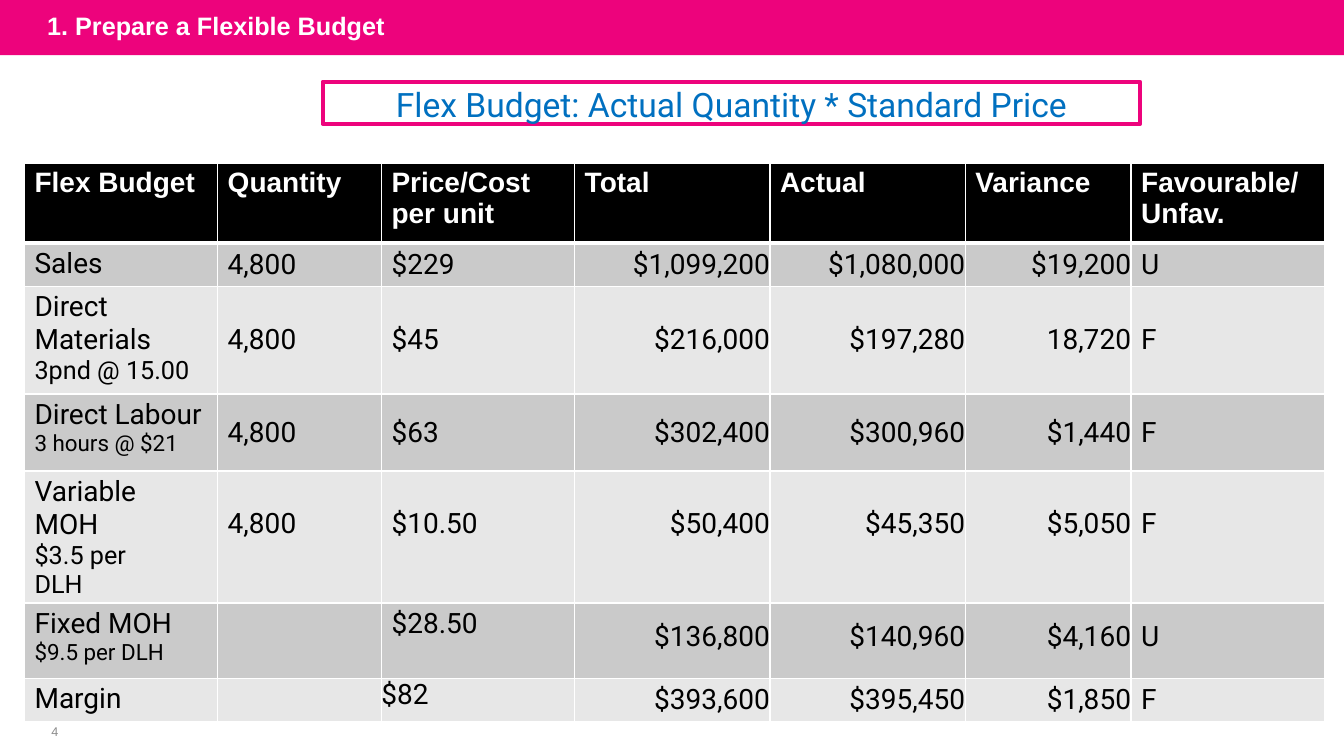
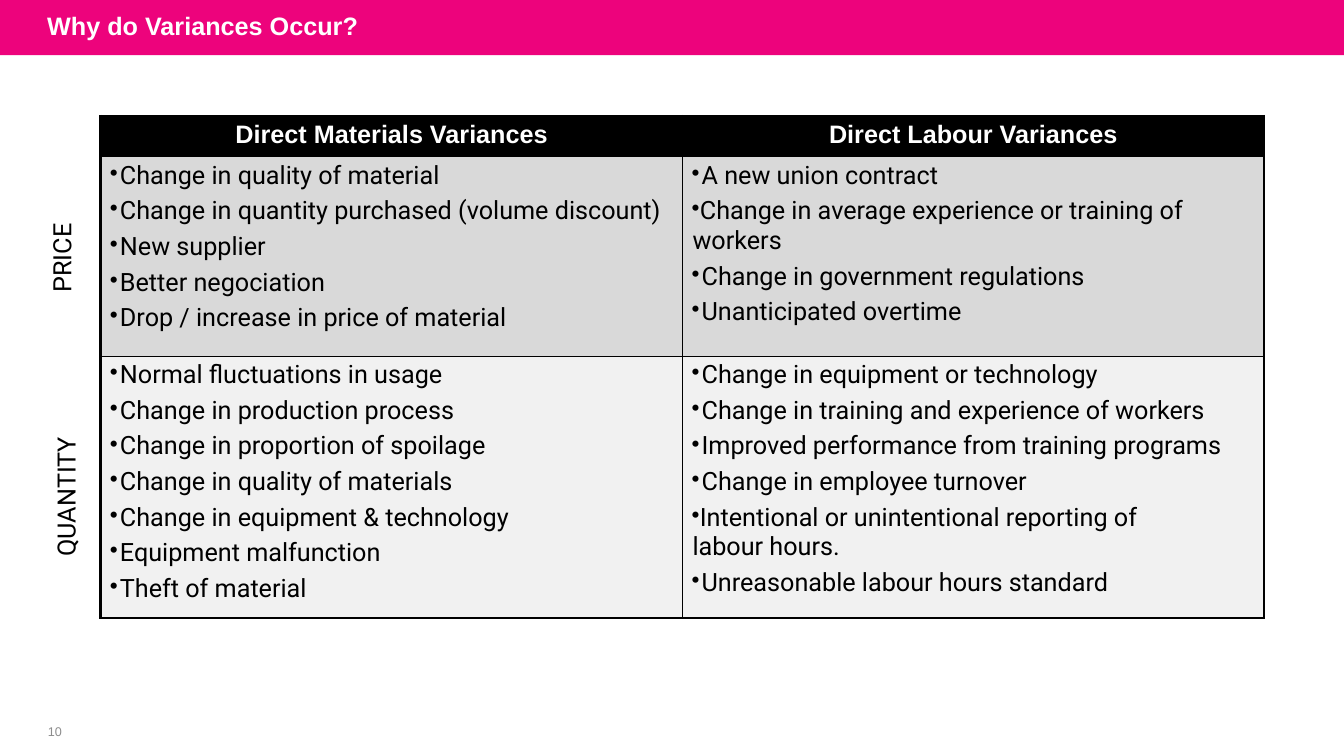
from lxml import etree
from pptx import Presentation
from pptx.dml.color import RGBColor
from pptx.enum.shapes import MSO_SHAPE
from pptx.enum.text import MSO_ANCHOR, MSO_AUTO_SIZE, PP_ALIGN
from pptx.oxml.ns import qn
from pptx.util import Pt

LEFT, CENTER, RIGHT = PP_ALIGN.LEFT, PP_ALIGN.CENTER, PP_ALIGN.RIGHT
TOP, MIDDLE, BOTTOM = MSO_ANCHOR.TOP, MSO_ANCHOR.MIDDLE, MSO_ANCHOR.BOTTOM
RECTANGLE = MSO_SHAPE.RECTANGLE
NO_FIT = MSO_AUTO_SIZE.NONE

PINK = RGBColor(0xED, 0x03, 0x7C)
BLUE = RGBColor(0x00, 0x70, 0xC0)
BLACK = RGBColor(0, 0, 0)
WHITE = RGBColor(0xFF, 0xFF, 0xFF)
FOOTER_GREY = RGBColor(0x8C, 0x8C, 0x8C)
BUDGET_FILLS = RGBColor(0xCA, 0xCA, 0xCA), RGBColor(0xE7, 0xE7, 0xE7)
CAUSE_FILLS = RGBColor(0xD9, 0xD9, 0xD9), RGBColor(0xF1, 0xF1, 0xF1)
HEADING_FONT, BODY_FONT = "Arial", "Roboto"
HEADING = {"font": HEADING_FONT, "bold": True, "color": WHITE}
INDENT, CELL_TOP = 7.2, 3

FORMULA = "Flex Budget: Actual Quantity * Standard Price"
BUDGET_HEADS = ["Flex Budget", "Quantity", "Price/Cost per unit", "Total",
                "Actual", "Variance", "Favourable/ Unfav."]
BUDGET_ROWS = [
    {"label": "Sales", "height": 31,
     "values": ["4,800", "$229", "$1,099,200", "$1,080,000", "$19,200", "U"]},
    {"label": "Direct Materials", "detail": "3pnd @ 15.00", "detail_size": 18, "height": 77,
     "values": ["4,800", "$45", "$216,000", "$197,280", "18,720", "F"]},
    {"label": "Direct Labour", "detail": "3 hours @ $21", "detail_size": 16, "height": 55,
     "values": ["4,800", "$63", "$302,400", "$300,960", "$1,440", "F"]},
    {"label": "Variable MOH", "detail": "$3.5 per DLH", "detail_size": 18, "height": 93,
     "label_right": 36, "lift": 18,
     "values": ["4,800", "$10.50", "$50,400", "$45,350", "$5,050", "F"]},
    {"label": "Fixed MOH", "detail": "$9.5 per DLH", "detail_size": 16, "height": 54,
     "lift": 6,
     "values": ["", "$28.50", "$136,800", "$140,960", "$4,160", "U"]},
    {"label": "Margin", "height": 31,
     "values": ["", "$82", "$393,600", "$395,450", "$1,850", "F"]},
]
BUDGET_WIDTHS = [138, 117, 138, 139.5, 139.5, 118.5, 138]
AMOUNT_COLUMNS = 3, 4, 5
TOP_CELLS = {"$28.50": {"left": INDENT, "top": CELL_TOP}, "$82": {"left": 0, "top": 0}}

CAUSE_HEADS = ["Direct Materials Variances", "Direct Labour Variances"]
CAUSES = [
    [["Change in quality of material",
      "Change in quantity purchased (volume discount)",
      "New supplier",
      "Better negociation",
      "Drop / increase in price of material"],
     ["A new union contract",
      "Change in average experience or training of\nworkers",
      "Change in government regulations",
      "Unanticipated overtime"]],
    [["Normal fluctuations in usage",
      "Change in production process",
      "Change in proportion of spoilage",
      "Change in quality of materials",
      "Change in equipment & technology",
      "Equipment malfunction",
      "Theft of material"],
     ["Change in equipment or technology",
      "Change in training and experience of workers",
      "Improved performance from training programs",
      "Change in employee turnover",
      "Intentional or unintentional reporting of\nlabour hours.",
      "Unreasonable labour hours standard"]],
]
CAUSE_HEIGHTS = [29, 142.5, 187]
SIDE_LABELS = [("PRICE", 33, 152, 57), ("QUANTITY", 36, 304, 93.5)]


def write(frame, text, size=18, font=BODY_FONT, color=BLACK, bold=False,
          align=LEFT, before=0, bullet=False):
    para = frame.add_paragraph() if frame.text else frame.paragraphs[0]
    para.alignment = align
    para.space_before = Pt(before)
    para.font.size = Pt(size)
    for number, line in enumerate(text.split("\n")):
        if number:
            para.add_line_break()
        span = para.add_run()
        span.text = line
        span.font.size, span.font.name = Pt(size), font
        span.font.bold, span.font.color.rgb = bold, color
    if bullet:
        wrapped = "\n" in text
        props = para._p.get_or_add_pPr()
        props.set("marL", str(Pt(7.2 if wrapped else 13.7)))
        props.set("indent", str(Pt(-0.7 if wrapped else -7.2)))
        etree.SubElement(props, qn("a:buSzPct")).set("val", "94000")
        etree.SubElement(props, qn("a:buChar")).set("char", "•")
    return para


def set_margins(target, left=0, top=0, right=0, bottom=0):
    target.margin_left, target.margin_top = Pt(left), Pt(top)
    target.margin_right, target.margin_bottom = Pt(right), Pt(bottom)


def add_text(page, text, left, top, width, height, anchor=TOP, **style):
    box = page.shapes.add_textbox(Pt(left), Pt(top), Pt(width), Pt(height))
    frame = box.text_frame
    frame.word_wrap = True
    frame.vertical_anchor = anchor
    set_margins(frame)
    write(frame, text, **style)
    return frame


def add_rectangle(page, left, top, width, height):
    box = page.shapes.add_shape(RECTANGLE, Pt(left), Pt(top), Pt(width), Pt(height))
    box.shadow.inherit = False
    return box


def add_page(deck, layout, title, number):
    page = deck.slides.add_slide(layout)
    heading = page.shapes.title
    heading.left, heading.top, heading.width, heading.height = Pt(26.5), Pt(-2), Pt(756), Pt(40)
    frame = heading.text_frame
    frame.auto_size = NO_FIT
    frame.vertical_anchor = MIDDLE
    write(frame, title, **HEADING)
    add_text(page, number, 20.5, 514, 37.5, 17, anchor=MIDDLE, size=9,
             font=HEADING_FONT, color=FOOTER_GREY, align=CENTER)
    return page


def add_band(page, layout):
    band = add_rectangle(page, 0, 0, 960, 39.5)
    band.fill.solid()
    band.fill.fore_color.rgb = PINK
    band.line.fill.background()
    layout.shapes._spTree.insert(2, band._element)


def add_grid(page, left, top, widths, heights, fills, color, edges):
    grid = page.shapes.add_table(len(heights), len(widths), Pt(left), Pt(top),
                                 Pt(sum(widths)), Pt(sum(heights))).table
    for column, width in zip(grid.columns, widths):
        column.width = Pt(width)
    for row, height in zip(grid.rows, heights):
        row.height = Pt(height)
    for row in range(len(heights)):
        for column in range(len(widths)):
            cell = grid.cell(row, column)
            set_margins(cell, top=CELL_TOP)
            props = cell._tc.get_or_add_tcPr()
            for side, weight in zip("LRTB", edges(row, column)):
                line = etree.SubElement(props, qn(f"a:ln{side}"), w=str(Pt(weight)))
                fill = etree.SubElement(line, qn("a:solidFill"))
                etree.SubElement(fill, qn("a:srgbClr"), val=str(color))
            cell.fill.solid()
            cell.fill.fore_color.rgb = fills[(row - 1) % 2] if row else BLACK
    return grid


def budget_edges(row, column):
    return 1, 1, 3 if row == 1 else 1, 3 if row == 0 else 1


def cause_edges(row, column):
    outer = column == 0, column == 1, row == 0, row == 2
    return [2.25 if side else 1 for side in outer]


def fill_budget(grid):
    for column, text in enumerate(BUDGET_HEADS):
        cell = grid.cell(0, column)
        set_margins(cell, left=INDENT, top=CELL_TOP)
        write(cell.text_frame, text, size=20, **HEADING)
    for row, item in enumerate(BUDGET_ROWS, 1):
        label = grid.cell(row, 0)
        set_margins(label, left=INDENT, top=CELL_TOP, right=item.get("label_right", 0))
        write(label.text_frame, item["label"], size=20)
        if "detail" in item:
            write(label.text_frame, item["detail"], size=item["detail_size"])
        for column, text in enumerate(item["values"], 1):
            cell = grid.cell(row, column)
            amount = column in AMOUNT_COLUMNS
            if text in TOP_CELLS:
                set_margins(cell, **TOP_CELLS[text])
            else:
                cell.vertical_anchor = MIDDLE
                set_margins(cell, left=0 if amount else INDENT, bottom=item.get("lift", 0))
            write(cell.text_frame, text, size=20, align=RIGHT if amount else LEFT)


def fill_causes(grid):
    for column, text in enumerate(CAUSE_HEADS):
        write(grid.cell(0, column).text_frame, text, align=CENTER, **HEADING)
    for row, cells in enumerate(CAUSES, 1):
        for column, causes in enumerate(cells):
            frame = grid.cell(row, column).text_frame
            for number, cause in enumerate(causes):
                write(frame, cause, before=4.3 if number else 0, bullet=True)


def main():
    deck = Presentation()
    deck.slide_width, deck.slide_height = Pt(960), Pt(540)
    layout = deck.slide_layouts[5]

    page = add_page(deck, layout, "1. Prepare a Flexible Budget", "4")
    add_band(page, layout)
    heights = [57] + [item["height"] for item in BUDGET_ROWS]
    fill_budget(add_grid(page, 17.5, 116.5, BUDGET_WIDTHS, heights,
                         BUDGET_FILLS, WHITE, budget_edges))
    formula = add_rectangle(page, 230.5, 58.5, 584, 30)
    formula.fill.background()
    formula.line.color.rgb = PINK
    formula.line.width = Pt(3)
    frame = formula.text_frame
    frame.word_wrap = True
    frame.vertical_anchor = BOTTOM
    set_margins(frame)
    write(frame, FORMULA, size=24, color=BLUE, align=CENTER)

    page = add_page(deck, layout, "Why do Variances Occur?", "10")
    fill_causes(add_grid(page, 72, 83, [415.5, 415.5], CAUSE_HEIGHTS,
                         CAUSE_FILLS, BLACK, cause_edges))
    for text, left, top, height in SIDE_LABELS:
        frame = add_text(page, text, left, top, 22.5, height)
        frame._txBody.bodyPr.set("vert", "vert270")

    deck.save("out.pptx")


if __name__ == "__main__":
    main()
